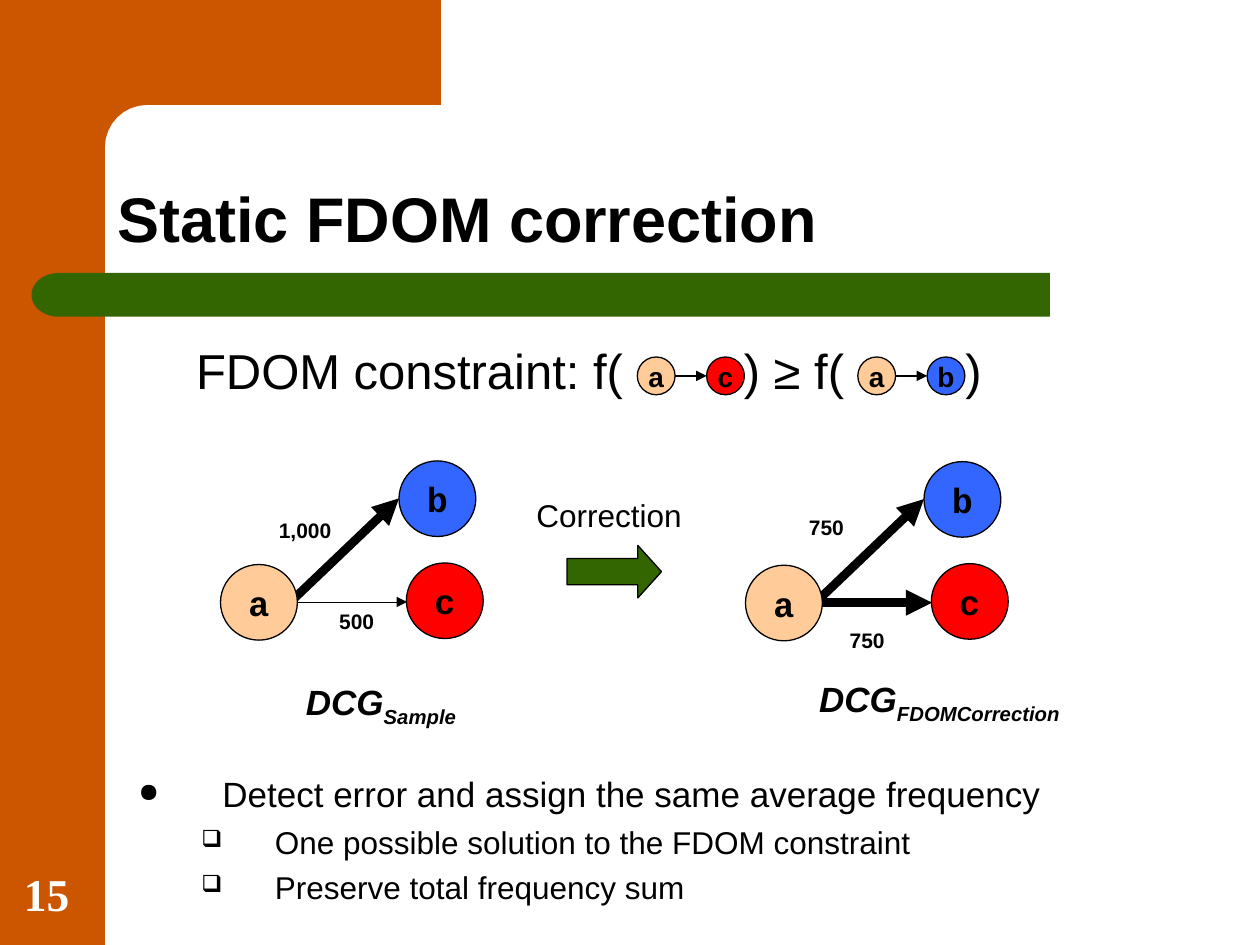
from math import cos, pi, sin

from lxml.etree import SubElement
from pptx import Presentation
from pptx.dml.color import RGBColor
from pptx.enum.shapes import MSO_CONNECTOR, MSO_SHAPE
from pptx.enum.text import MSO_ANCHOR, PP_ALIGN
from pptx.oxml.ns import qn
from pptx.util import Pt

ORANGE, GREEN, BLACK = "CC5500", "336600", "000000"
NODE_FILLS = {"a": "FFCC99", "b": "3366FF", "c": "FF0000"}
LABEL = {"size": Pt(12), "bold": True}
CAPTION = {"size": Pt(20), "bold": True, "italic": True}


def color(value):
    """Turn a hex string into a colour."""
    return RGBColor.from_string(value)


def apply(target, values):
    """Set each named attribute on the target."""
    for name, value in values.items():
        setattr(target, name, value)


def add_span(para, text, font, fill=BLACK):
    """Append a formatted run to a paragraph."""
    span = para.add_run()
    span.text = text
    apply(span.font, {"name": "Arial", **font})
    span.font.color.rgb = color(fill)
    return span


def add_text(page, box, text, font, layout=None, frame_format=None, fill=BLACK):
    """Add a wrapped text box and return its paragraph."""
    frame = page.shapes.add_textbox(*map(Pt, box)).text_frame
    apply(frame, {"word_wrap": True, **(frame_format or {})})
    para = frame.paragraphs[0]
    apply(para, layout or {})
    add_span(para, text, font, fill)
    return para


def paint(shape, fill, outline=None):
    """Give a shape a flat fill and an optional thin outline."""
    shape.shadow.inherit = False
    shape.fill.solid()
    shape.fill.fore_color.rgb = color(fill)
    if outline:
        shape.line.color.rgb = color(outline)
        shape.line.width = Pt(0.75)
    else:
        shape.line.fill.background()
    return shape


def add_block(page, kind, box, fill, outline=None):
    """Add a painted preset shape."""
    return paint(page.shapes.add_shape(kind, *map(Pt, box)), fill, outline)


def add_node(page, box, name, font):
    """Add a lettered circle."""
    node = add_block(page, MSO_SHAPE.OVAL, box, NODE_FILLS[name], BLACK)
    apply(node.text_frame, {"word_wrap": False, "vertical_anchor": MSO_ANCHOR.MIDDLE})
    para = node.text_frame.paragraphs[0]
    para.alignment = PP_ALIGN.CENTER
    add_span(para, name, {"bold": True, **font})


def add_arrow(page, start, end, width):
    """Add a straight line with a triangle at its end."""
    arrow = page.shapes.add_connector(MSO_CONNECTOR.STRAIGHT, *map(Pt, (*start, *end)))
    arrow.line.color.rgb = color(BLACK)
    arrow.line.width = Pt(width)
    SubElement(arrow.line._get_or_add_ln(), qn("a:tailEnd"), type="triangle")
    SubElement(arrow._element.spPr, qn("a:effectLst"))


def add_frame(page, width, height):
    """Draw the side band, rounded corner and title bar."""
    band, edge, radius = 60, 252, 24
    add_block(page, MSO_SHAPE.RECTANGLE, (0, 0, band, height), ORANGE)
    center = band + radius
    turns = [pi / 2 * step / 8 for step in range(9)]
    arc = [(center - radius * sin(turn), center - radius * cos(turn)) for turn in turns]
    outline = page.shapes.build_freeform(Pt(36), Pt(0), scale=1.0)
    points = [(edge, 0), (edge, band), *arc, (band, 92), (36, 92)]
    outline.add_line_segments([(Pt(x), Pt(y)) for x, y in points])
    paint(outline.convert_to_shape(), ORANGE)
    add_block(page, MSO_SHAPE.RECTANGLE, (48, 156, 552, 25), GREEN)
    add_block(page, MSO_SHAPE.FLOWCHART_DELAY, (18, 156, 31, 25), GREEN).rotation = 180


def add_pair(page, left, top, target):
    """Draw a small arrow from node a to the target node."""
    size, reach = 21.6, 39.6
    for name, shift in ((target, reach), ("a", 0)):
        add_node(page, (left + shift, top, size, size), name, {"size": Pt(16)})
    middle = top + size / 2
    add_arrow(page, (left + size, middle), (left + reach, middle), 0.75)


def add_constraint(page, left, top):
    """Write the constraint with a node pair in each bracket."""
    para = add_text(page, (left, top, 516, 50), "FDOM constraint: f(\t) ≥ f(\t)",
                    {"size": Pt(28)}, {"space_before": Pt(7)})
    stops = SubElement(para._p.get_or_add_pPr(), qn("a:tabLst"))
    for stop in (313, 439.5):
        SubElement(stops, qn("a:tab"), pos=str(Pt(stop)), algn="l")
    add_pair(page, left + 259.2, top + 13, "c")
    add_pair(page, left + 385.2, top + 13, "b")


def add_graph(page, left, top, lower_width, labels, caption):
    """Draw a weighted graph with edge labels and a caption."""
    places = {"b": (102, 0), "c": (106.2, 58.3), "a": (0, 59.2)}
    add_arrow(page, (left + 36, top + 84.4), (left + 102, top + 21.4), 5)
    add_arrow(page, (left + 43.5, top + 80.6), (left + 106.6, top + 80.6), lower_width)
    for name, (x, y) in places.items():
        add_node(page, (left + x, top + y, 43.9, 43.2), name,
                 {"name": "Courier New", "size": Pt(20)})
    centered = {"alignment": PP_ALIGN.CENTER}
    for text, x, y in labels:
        add_text(page, (left + x, top + y, 49, 21.6), text, LABEL,
                 {**centered, "space_before": Pt(7.5)})
    text, x, y, width = caption
    para = add_text(page, (left + x, top + y, width, 34.6), "DCG", CAPTION,
                    {**centered, "space_before": Pt(12.5)})
    subscript = add_span(para, text, CAPTION)
    subscript._r.get_or_add_rPr().set("baseline", "-25000")


def add_correction(page, left, top):
    """Draw the arrow between the graphs with its word above."""
    add_text(page, (left, top, 138, 28.8), "Correction", {"size": Pt(18)},
             {"space_before": Pt(11.2)})
    arrow = add_block(page, MSO_SHAPE.RIGHT_ARROW, (left + 24.5, top + 31.7, 54, 30),
                      GREEN, BLACK)
    arrow.adjustments[1] = 0.45


def add_bullets(page, box, items):
    """List the bullet items by level."""
    frame = page.shapes.add_textbox(*map(Pt, box)).text_frame
    frame.word_wrap = True
    styles = (("●", 48, -48, 20, 5), ("❑", 78, -42, 18, 4.5))
    for index, (level, text) in enumerate(items):
        para = frame.add_paragraph() if index else frame.paragraphs[0]
        sign, margin, indent, size, gap = styles[level]
        apply(para, {"level": level, "space_before": Pt(gap)})
        add_span(para, text, {"size": Pt(size)})
        properties = para._p.get_or_add_pPr()
        properties.set("marL", str(Pt(margin)))
        properties.set("indent", str(Pt(indent)))
        tint = SubElement(properties, qn("a:buClr"))
        SubElement(tint, qn("a:srgbClr"), val=BLACK)
        SubElement(properties, qn("a:buSzPct"), val="75000")
        SubElement(properties, qn("a:buChar"), char=sign)


def main():
    """Build the slide and save the deck."""
    deck = Presentation()
    apply(deck, {"slide_width": Pt(720), "slide_height": Pt(540)})
    page = deck.slides.add_slide(deck.slide_layouts[6])
    bottom = {"vertical_anchor": MSO_ANCHOR.BOTTOM}
    add_frame(page, 720, 540)
    add_text(page, (60, 60, 624, 90), "Static FDOM correction",
             {"size": Pt(36), "bold": True}, {"line_spacing": 0.9}, bottom)
    add_constraint(page, 105, 191)
    add_graph(page, 126, 263.4, 0.5, [("1,000", 23.8, 29), ("500", 53.3, 80.8)],
              ("Sample", 31.7, 121.8, 120))
    add_graph(page, 426, 263.8, 5, [("750", 21.7, 26.4), ("750", 45, 91.2)],
              ("FDOMCorrection", 11.8, 120, 198))
    add_correction(page, 299.5, 280)
    add_bullets(page, (72, 438, 612, 90), [
        (0, "Detect error and assign the same average frequency"),
        (1, "One possible solution to the FDOM constraint"),
        (1, "Preserve total frequency sum"),
    ])
    add_text(page, (6.5, 491.8, 46, 38), "15",
             {"name": "Times New Roman", "size": Pt(26), "bold": True},
             None, bottom, "FFFFFF")
    deck.save("out.pptx")


if __name__ == "__main__":
    main()
